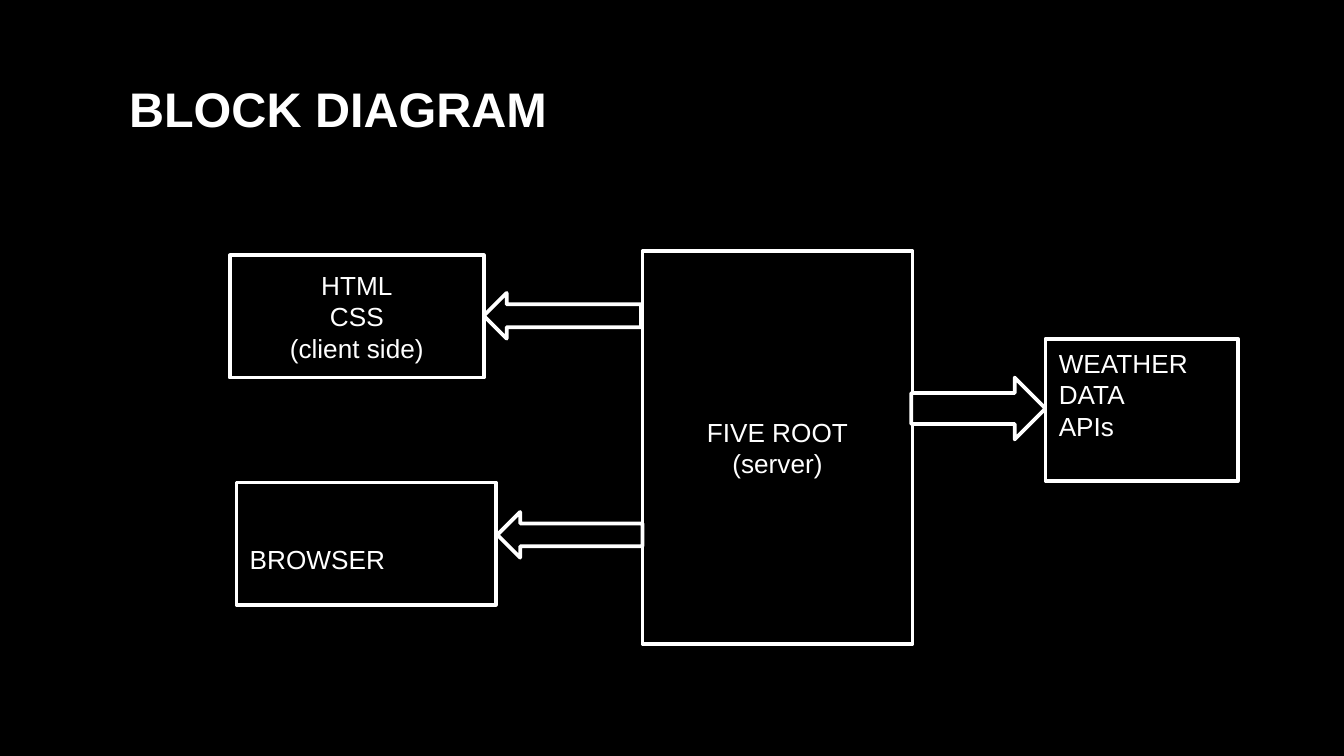
from pptx import Presentation
from pptx.dml.color import RGBColor
from pptx.enum import shapes, text
from pptx.util import Inches, Pt

COLORS = {"back": "000000", "front": "FFFFFF"}
FONT = "Arial"
LINE_SHIFT = 0.23  # extra inset that moves centred text by half a line


def color(name):
    return RGBColor.from_string(COLORS[name])


def add_run(p, words, size, bold=False):
    r = p.add_run()
    r.text = words
    r.font.name = FONT
    r.font.size = Pt(size)
    r.font.bold = bold
    r.font.color.rgb = color("front")


def add_title(s, words, x, y, w, h):
    tf = s.shapes.add_textbox(Inches(x), Inches(y), Inches(w), Inches(h)).text_frame
    tf.word_wrap = True
    tf.vertical_anchor = text.MSO_ANCHOR.MIDDLE
    tf.margin_left = Inches(0.17)
    tf.margin_right = tf.margin_top = tf.margin_bottom = Inches(0.1)
    add_run(tf.paragraphs[0], words, 26, bold=True)


def add_outline(s, kind, x, y, w, h):
    sp = s.shapes.add_shape(kind, Inches(x), Inches(y), Inches(w), Inches(h))
    sp.shadow.inherit = False
    sp.fill.solid()
    sp.fill.fore_color.rgb = color("back")
    sp.line.color.rgb = color("front")
    sp.line.width = Pt(2)
    return sp


def add_block(s, lines, x, y, w, h, align=text.PP_ALIGN.CENTER, top=0, bottom=0):
    tf = add_outline(s, shapes.MSO_SHAPE.RECTANGLE, x, y, w, h).text_frame
    tf.word_wrap = True
    tf.vertical_anchor = text.MSO_ANCHOR.MIDDLE
    tf.margin_top = Inches(0.05 + top)
    tf.margin_bottom = Inches(0.05 + bottom)
    for i, line in enumerate(lines):
        p = tf.add_paragraph() if i else tf.paragraphs[0]
        p.alignment = align
        add_run(p, line, 14)


def main():
    # Widescreen slide, 16:9
    prs = Presentation()
    prs.slide_width = Inches(10)
    prs.slide_height = Inches(10 * 9 / 16)
    s = prs.slides.add_slide(prs.slide_layouts[6])
    s.background.fill.solid()
    s.background.fill.fore_color.rgb = color("back")

    add_title(s, "BLOCK DIAGRAM", 0.79, 0.49, 8.43, 0.63)

    # Blocks: client, server, browser and data source
    left = text.PP_ALIGN.LEFT
    add_block(s, ["HTML", "CSS", "(client side)"], 1.71, 1.9, 1.89, 0.91)
    add_block(s, ["FIVE ROOT", "(server)"], 4.78, 1.87, 2.01, 2.92)
    add_block(s, ["BROWSER"], 1.76, 3.59, 1.93, 0.91, left, top=LINE_SHIFT)
    add_block(s, ["WEATHER", "DATA", "APIs"], 7.78, 2.52, 1.43, 1.06, left,
              bottom=LINE_SHIFT)

    # Arrows from the server to the other blocks
    add_outline(s, shapes.MSO_SHAPE.RIGHT_ARROW, 6.78, 2.81, 1, 0.46)
    add_outline(s, shapes.MSO_SHAPE.LEFT_ARROW, 3.6, 2.18, 1.17, 0.34)
    add_outline(s, shapes.MSO_SHAPE.LEFT_ARROW, 3.7, 3.81, 1.08, 0.34)

    prs.save("out.pptx")


if __name__ == "__main__":
    main()
